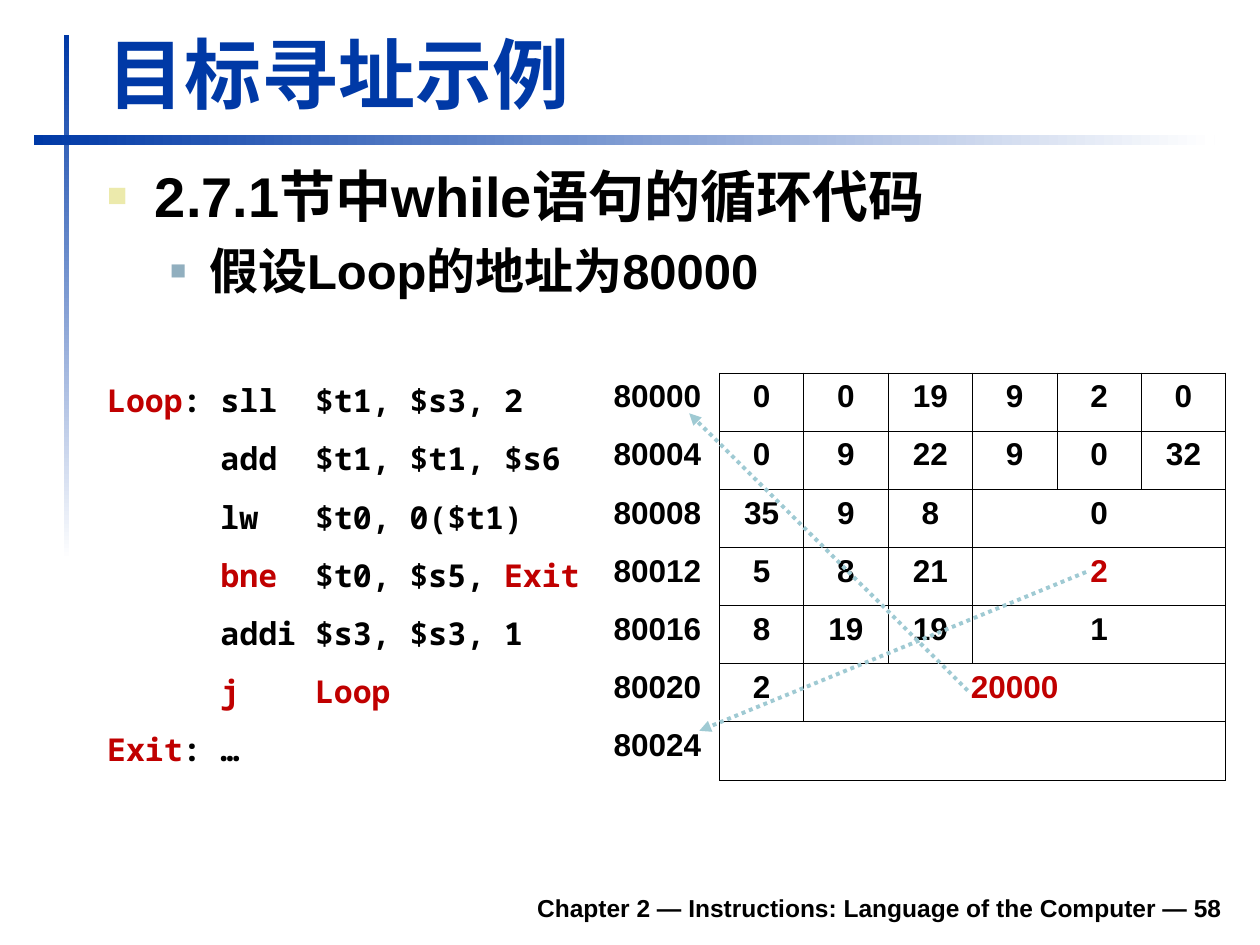
from lxml import etree
from pptx import Presentation
from pptx.dml.color import RGBColor
from pptx.enum import dml, shapes, text
from pptx.oxml import ns
from pptx.util import Inches, Pt

COLORS = {"blue": "0039A6", "white": "FFFFFF", "black": "000000", "red": "C00000",
          "arrow": "9FCAD3", "yellow": "ECEAAC", "steel": "91AFBF"}
CODE_FONT, TEXT_FONT = "Noto Sans Mono", "Arial"


def add_xml(parent, tag, **attributes):
    return etree.SubElement(parent, ns.qn(tag), attributes)


def set_font(para, size, color="black", name=TEXT_FONT):
    para.font.size = Pt(size)
    para.font.name = name
    para.font.bold = True
    para.font.color.rgb = RGBColor.from_string(COLORS[color])


deck = Presentation()
deck.slide_width, deck.slide_height = Inches(10), Inches(7.5)
page = deck.slides.add_slide(deck.slide_layouts[1])

# Gradient rules; the angle runs counterclockwise
for left, top, width, height, angle in [(0.51, 0.28, 0.04, 4.17, 270),
                                        (0.27, 1.07, 9.37, 0.08, 0)]:
    rule = page.shapes.add_shape(shapes.MSO_SHAPE.RECTANGLE, Inches(left), Inches(top),
                                 Inches(width), Inches(height))
    rule.shadow.inherit = False
    rule.line.fill.background()
    rule.fill.gradient()
    rule.fill.gradient_angle = angle
    for stop, color in zip(rule.fill.gradient_stops, ("blue", "white")):
        stop.color.rgb = RGBColor.from_string(COLORS[color])

# Title and footer
title = page.shapes.title
title.left, title.top, title.width, title.height = (
    Inches(0.75), Inches(0.15), Inches(9.03), Inches(0.84))
footer = page.shapes.add_textbox(Inches(1.85), Inches(6.98), Inches(7.95), Inches(0.39))
for box, words, size, color, align in [
        (title, "目标寻址示例", 44, "blue", text.PP_ALIGN.LEFT),
        (footer, "Chapter 2 — Instructions: Language of the Computer — 58", 14, "black",
         text.PP_ALIGN.RIGHT)]:
    frame = box.text_frame
    frame.text = words
    frame.word_wrap = True
    frame.auto_size = text.MSO_AUTO_SIZE.NONE
    frame.vertical_anchor = text.MSO_ANCHOR.BOTTOM
    frame.paragraphs[0].alignment = align
    set_font(frame.paragraphs[0], size, color)

# Bulleted list
body = page.placeholders[1]
body.left, body.top, body.width, body.height = (
    Inches(0.75), Inches(1.23), Inches(9.04), Inches(5.59))
body.text_frame.text = "2.7.1节中while语句的循环代码\n假设Loop的地址为80000"
body.text_frame.auto_size = text.MSO_AUTO_SIZE.NONE
levels = [(0.38, 0.38, 0, 32, "yellow", 60), (0.81, 0.31, 7, 28, "steel", 55)]
for level, (para, settings) in enumerate(zip(body.text_frame.paragraphs, levels)):
    margin, hanging, before, size, bullet_color, bullet_size = settings
    para.level = level
    para.space_before = Pt(before)
    props = para._p.get_or_add_pPr()
    props.set("marL", str(Inches(margin)))
    props.set("indent", str(-Inches(hanging)))
    add_xml(add_xml(props, "a:buClr"), "a:srgbClr", val=COLORS[bullet_color])
    add_xml(props, "a:buSzPct", val=str(bullet_size * 1000))
    add_xml(props, "a:buFont", typeface=TEXT_FONT)
    add_xml(props, "a:buChar", char="■")
    set_font(para, size)

# Code, address and instruction fields; text between bars is red.
# The last field of a row spans the columns that remain.
rows = [
    ["|Loop|: sll  $t1, $s3, 2", "80000", "0", "0", "19", "9", "2", "0"],
    ["      add  $t1, $t1, $s6", "80004", "0", "9", "22", "9", "0", "32"],
    ["      lw   $t0, 0($t1)", "80008", "35", "9", "8", "0"],
    ["      |bne|  $t0, $s5, |Exit|", "80012", "5", "8", "21", "|2|"],
    ["      addi $s3, $s3, 1", "80016", "8", "19", "19", "1"],
    ["      |j    Loop|", "80020", "2", "|20000|"],
    ["|Exit|: …", "80024", ""],
]
column_widths = [4.02, 0.94] + [0.67] * 6
last_column = len(column_widths) - 1
table = page.shapes.add_table(len(rows), len(column_widths), Inches(0.75), Inches(2.96),
                              Inches(8.98), Inches(3.23)).table
table.first_row = table.horz_banding = False
for column, width in zip(table.columns, column_widths):
    column.width = Inches(width)

for row_index, fields in enumerate(rows):
    for column_index in range(len(column_widths)):
        cell = table.cell(row_index, column_index)
        cell.fill.background()
        props = cell._tc.get_or_add_tcPr()
        for place, side in enumerate(("a:lnL", "a:lnR", "a:lnT", "a:lnB")):
            framed = column_index > 1 or (column_index == 1 and side == "a:lnR")
            border = etree.Element(ns.qn(side), w=str(Pt(0.45)))
            add_xml(add_xml(border, "a:solidFill"), "a:srgbClr",
                    val=COLORS["black" if framed else "white"])
            props.insert(place, border)

    for column_index, field in enumerate(fields):
        cell = table.cell(row_index, column_index)
        para = cell.text_frame.paragraphs[0]
        if column_index > 1:
            para.alignment = text.PP_ALIGN.CENTER
        set_font(para, 18, name=TEXT_FONT if column_index else CODE_FONT)
        for position, piece in enumerate(field.split("|")):
            if piece:
                span = para.add_run()
                span.text = piece
                if position % 2:
                    span.font.color.rgb = RGBColor.from_string(COLORS["red"])
    if len(fields) <= last_column:
        cell.merge(table.cell(row_index, last_column))

# Arrows from the encoded targets to their addresses
for start_x, start_y, end_x, end_y in [(7.68, 5.48, 5.47, 3.28), (8.62, 4.54, 5.55, 5.8)]:
    arrow = page.shapes.add_connector(shapes.MSO_CONNECTOR.STRAIGHT, Inches(start_x),
                                      Inches(start_y), Inches(end_x), Inches(end_y))
    arrow.line.color.rgb = RGBColor.from_string(COLORS["arrow"])
    arrow.line.width = Pt(2.25)
    arrow.line.dash_style = dml.MSO_LINE.ROUND_DOT
    add_xml(arrow.line._get_or_add_ln(), "a:tailEnd", type="triangle")
    add_xml(arrow._element.spPr, "a:effectLst")

deck.save("out.pptx")
